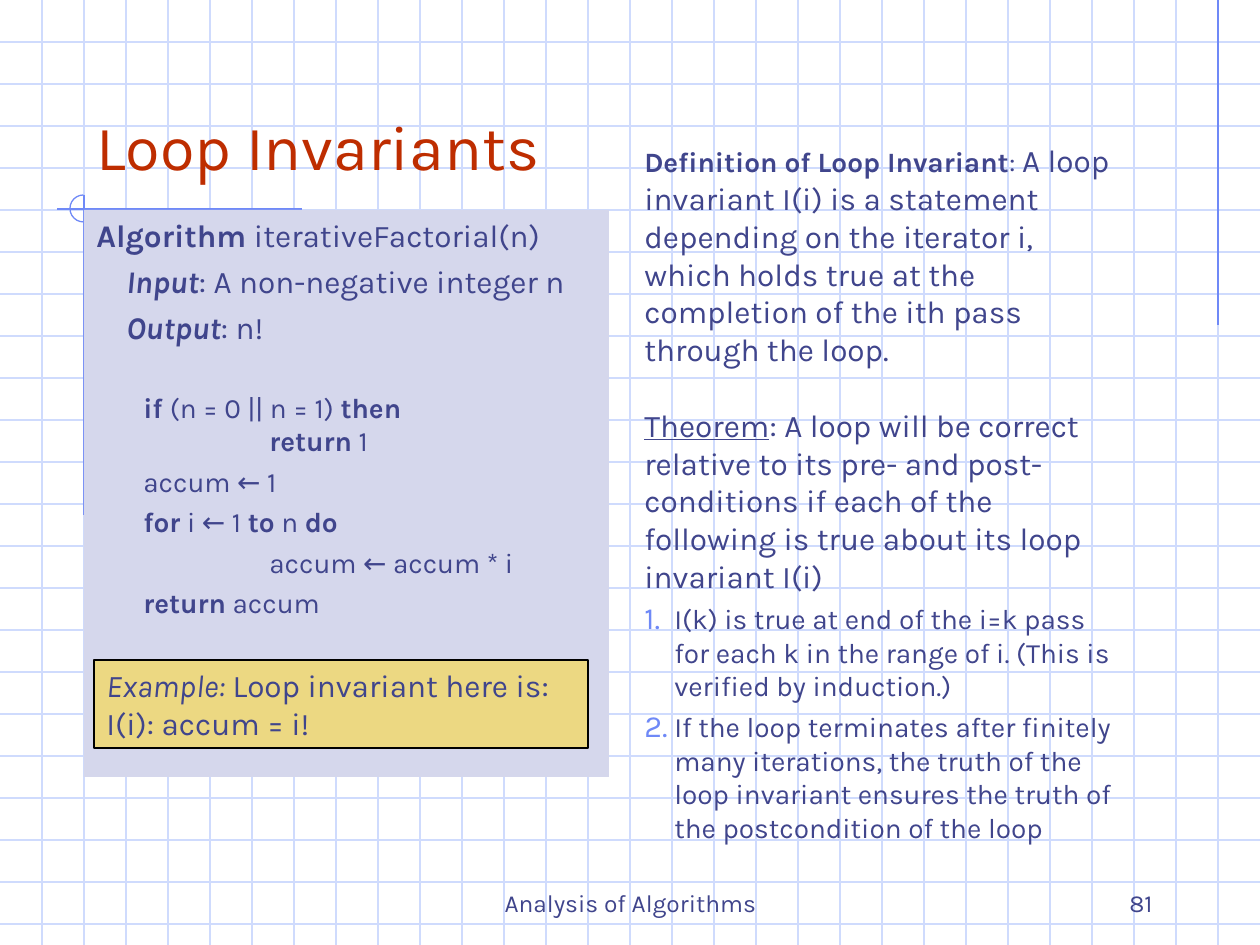
import pptx
import pptx.dml.color
import pptx.enum.shapes
import pptx.enum.text
import pptx.util
from lxml import etree
from pptx.oxml.ns import qn

PX = 914400 / 126
WIDTH, HEIGHT, GRID_STEP = 1260, 945, 42
FONT = "Karla"

GRID = pptx.dml.color.RGBColor(0xCF, 0xDB, 0xFD)
ACCENT = pptx.dml.color.RGBColor(0x6F, 0x89, 0xF7)
INK = pptx.dml.color.RGBColor(0x40, 0x45, 0x8C)
RED = pptx.dml.color.RGBColor(0xBE, 0x2D, 0x00)
LAVENDER = pptx.dml.color.RGBColor(0xD5, 0xD7, 0xEC)
YELLOW = pptx.dml.color.RGBColor(0xEC, 0xD8, 0x82)
BLACK = pptx.dml.color.RGBColor(0, 0, 0)

SHAPES = pptx.enum.shapes.MSO_SHAPE
ANCHOR = pptx.enum.text.MSO_ANCHOR
ALIGN = pptx.enum.text.PP_ALIGN
BLANK_LINE = 21.6  # height of one 18 pt line, in points


def emu(*lengths):
    return [round(length * PX) for length in lengths]


def add_line(page, x1, y1, x2, y2, color):
    line = page.shapes.add_connector(
        pptx.enum.shapes.MSO_CONNECTOR.STRAIGHT, *emu(x1, y1, x2, y2))
    line.line.color.rgb = color
    line.line.width = pptx.util.Pt(0.75)
    etree.SubElement(line._element.spPr, qn("a:effectLst"))


def add_panel(page, frame, fill, outline=None):
    box = page.shapes.add_shape(SHAPES.RECTANGLE, *emu(*frame))
    box.shadow.inherit = False
    box.fill.solid()
    box.fill.fore_color.rgb = fill
    if outline is None:
        box.line.fill.background()
    else:
        box.line.color.rgb = outline
        box.line.width = pptx.util.Pt(0.75)
    return prepare_text(box)


def add_text_box(page, frame, anchor=ANCHOR.TOP):
    return prepare_text(page.shapes.add_textbox(*emu(*frame)), anchor)


def prepare_text(box, anchor=ANCHOR.TOP):
    box.text_frame.word_wrap = True
    box.text_frame.vertical_anchor = anchor
    return box


def add_para(box, spans, size=18, before=0, indent=0, align=ALIGN.LEFT,
             color=INK, numbered=False):
    """Spans are (text, style) pairs; style holds any of the letters b, i, u."""
    frame = box.text_frame
    para = frame.paragraphs[0]
    if para.runs:
        para = frame.add_paragraph()
    para.alignment = align
    para.space_before = pptx.util.Pt(before)
    properties = para._p.get_or_add_pPr()
    properties.set("marL", str(emu(indent)[0]))
    properties.set("indent", str(emu(-indent)[0] if numbered else 0))
    if numbered:
        add_number(properties)
    for text, style in spans:
        span = para.add_run()
        span.text = text
        font = span.font
        font.name, font.size = FONT, pptx.util.Pt(size)
        font.color.rgb = color
        font.bold, font.italic, font.underline = (key in style for key in "biu")
    return para


def add_number(properties):
    color = etree.SubElement(properties, qn("a:buClr"))
    etree.SubElement(color, qn("a:srgbClr"), val=str(ACCENT))
    etree.SubElement(properties, qn("a:buSzPct"), val="110000")
    etree.SubElement(properties, qn("a:buFont"), typeface=FONT)
    etree.SubElement(properties, qn("a:buAutoNum"), type="arabicPeriod")


def add_background(page):
    # Squared paper
    for y in range(GRID_STEP, HEIGHT, GRID_STEP):
        add_line(page, 0, y, WIDTH, y, GRID)
    for x in range(GRID_STEP, WIDTH, GRID_STEP):
        add_line(page, x, 0, x, HEIGHT, GRID)
    # Accent lines and the open circle at their crossing
    add_line(page, 1218, 0, 1218, 325, ACCENT)
    add_line(page, 302, 209, 57, 209, ACCENT)
    add_line(page, 84, 195, 84, 515, ACCENT)
    arc = page.shapes.add_shape(SHAPES.ARC, *emu(70, 195, 27, 27))
    arc.shadow.inherit = False
    arc.adjustments[0], arc.adjustments[1] = 0, 162  # right, clockwise to top
    arc.fill.background()
    arc.line.color.rgb = ACCENT
    arc.line.width = pptx.util.Pt(0.75)


def add_algorithm(page):
    box = add_panel(page, (84, 210, 525, 567), LAVENDER)
    add_para(box, [("Algorithm", "b"), (" iterativeFactorial(n)", "")], before=4.5)
    for label, meaning in (("Input", ": A non-negative integer n"),
                           ("Output", ": n!")):
        add_para(box, [(label, "bi"), (meaning, "")], before=4.5, indent=30)

    outer, inner = 47, 173
    steps = [
        (outer, 4 + BLANK_LINE, [("if ", "b"), ("(n = 0 || n = 1) ", ""), ("then", "b")]),
        (inner, 0, [("return", "b"), (" 1", "")]),
        (outer, 4, [("accum ← 1", "")]),
        (outer, 4, [("for", "b"), (" i ← 1 ", ""), ("to", "b"), (" n ", ""), ("do", "b")]),
        (inner, 4, [("accum ← accum * i", "")]),
        (outer, 4, [("return", "b"), (" accum", "")]),
    ]
    for indent, before, spans in steps:
        add_para(box, spans, size=16, before=before, indent=indent)


def add_theory(page):
    box = add_text_box(page, (632, 135, 504, 716))
    definition = add_para(box, [
        ("Definition of Loop Invariant", "b"), (": ", ""),
        ("A loop invariant I(i) is a statement depending on the iterator i, which "
         "holds true at the completion of the ith pass through the loop.", "")],
        before=4.5)
    for span in definition.runs[:2]:
        span.font.size = pptx.util.Pt(16)
    add_para(box, [
        ("Theorem", "u"),
        (": A loop will be correct relative to its pre- and post-conditions if each "
         "of the following is true about its loop invariant I(i)", "")],
        before=BLANK_LINE)
    for condition in (
            "I(k) is true at end of the i=k pass for each k in the range of i. "
            "(This is verified by induction.)",
            "If the loop terminates after finitely many iterations, the truth of the "
            "loop invariant ensures the truth of the postcondition of the loop"):
        add_para(box, [(condition, "")], size=16, before=4, indent=30, numbered=True)


def add_example(page):
    box = add_panel(page, (94, 660, 494, 88), YELLOW, BLACK)
    add_para(box, [("Example:", "i"), (" Loop invariant here is:", "")])
    add_para(box, [("I(i): accum = i!", "")])


def main():
    deck = pptx.Presentation()
    deck.slide_width, deck.slide_height = emu(WIDTH, HEIGHT)
    page = deck.slides.add_slide(deck.slide_layouts[6])
    add_background(page)

    # Footer and title
    footer = add_text_box(page, (431, 861, 399, 63), ANCHOR.BOTTOM)
    add_para(footer, [("Analysis of Algorithms", "")], size=14, align=ALIGN.CENTER)
    number = add_text_box(page, (903, 861, 262, 63), ANCHOR.BOTTOM)
    add_para(number, [("81", "")], size=14, align=ALIGN.RIGHT)
    title = add_text_box(page, (84, 95, 1071, 94), ANCHOR.BOTTOM)
    add_para(title, [("Loop Invariants", "")], size=36, color=RED)

    # Content
    add_algorithm(page)
    add_theory(page)
    add_example(page)
    deck.save("out.pptx")


if __name__ == "__main__":
    main()
